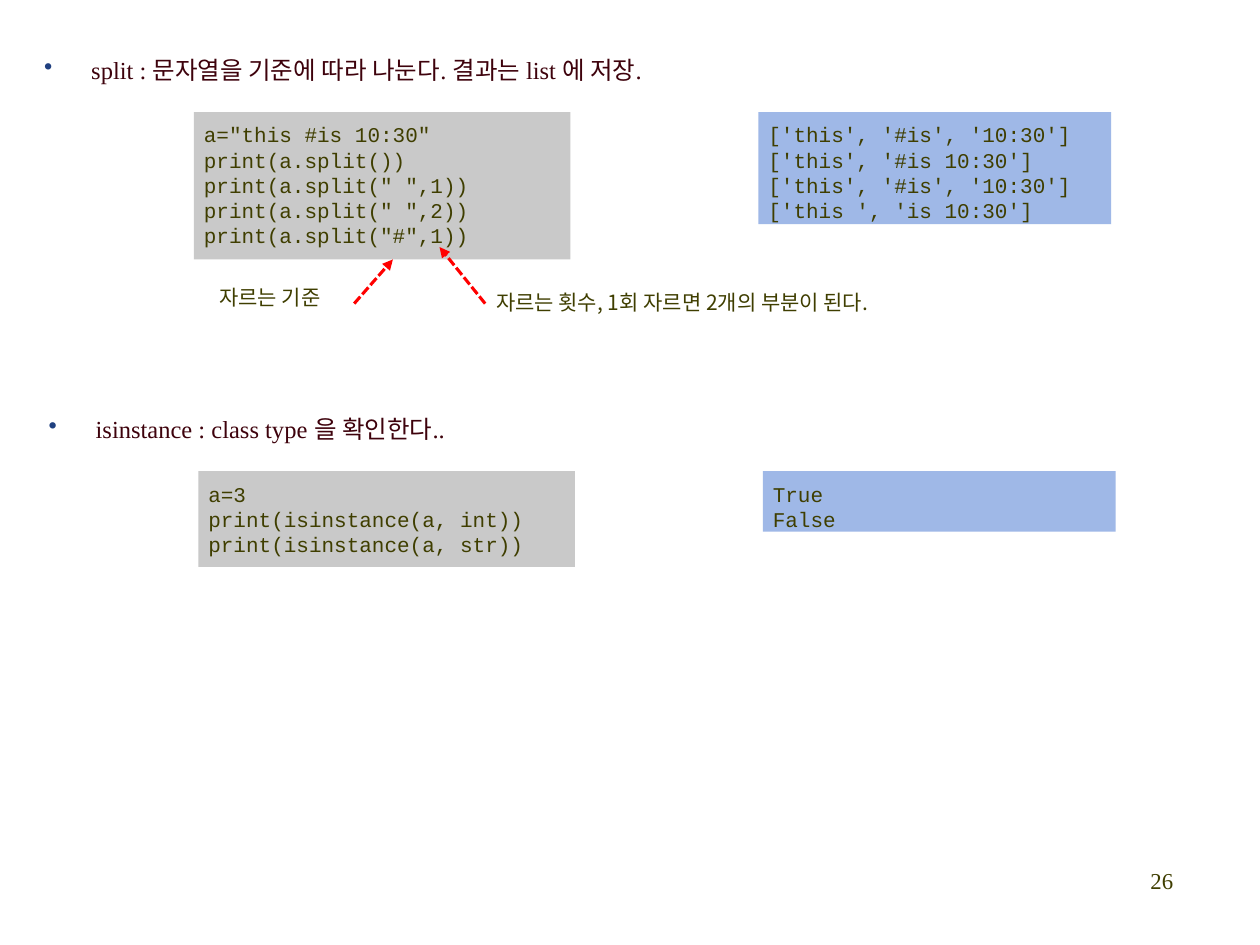
from lxml import etree
from pptx import Presentation
from pptx.dml.color import RGBColor
from pptx.enum.dml import MSO_LINE_DASH_STYLE as Dash
from pptx.enum.shapes import MSO_CONNECTOR as Connector, MSO_SHAPE as Shape
from pptx.enum.text import MSO_ANCHOR as Anchor, MSO_AUTO_SIZE as AutoSize, PP_ALIGN as Align
from pptx.oxml.ns import qn
from pptx.util import Cm, Pt

COLORS = {
    "text": "3F3E00",
    "heading": "3E020C",
    "bullet": "204080",
    "code": "C9C9C9",
    "output": "9FB8E7",
    "arrow": "FF0000",
}
SERIF = "Times New Roman"
MONO = "Courier New"
KOREAN = "Noto Sans CJK KR"

SPLIT_CODE = '''a="this #is 10:30"
print(a.split())
print(a.split(" ",1))
print(a.split(" ",2))
print(a.split("#",1))'''
SPLIT_OUTPUT = """['this', '#is', '10:30']
['this', '#is 10:30']
['this', '#is', '10:30']
['this ', 'is 10:30']"""
ISINSTANCE_CODE = """a=3
print(isinstance(a, int))
print(isinstance(a, str))"""
ISINSTANCE_OUTPUT = "True\nFalse"


def rgb(name):
    return RGBColor.from_string(COLORS[name])


def add_bullet(paragraph):
    properties = paragraph._p.get_or_add_pPr()
    properties.set("marL", str(Cm(0.95)))
    properties.set("indent", str(Cm(-0.95)))
    color = etree.SubElement(properties, qn("a:buClr"))
    etree.SubElement(color, qn("a:srgbClr"), val=COLORS["bullet"])
    etree.SubElement(properties, qn("a:buChar"), char="•")


def write_text(shape, text, *, font=SERIF, size=12, color="text",
               align=Align.LEFT, bullet=False, grow=True):
    """Fill a shape with one paragraph for each line of the text."""
    frame = shape.text_frame
    frame.word_wrap = True
    frame.vertical_anchor = Anchor.TOP
    frame.auto_size = AutoSize.SHAPE_TO_FIT_TEXT if grow else AutoSize.NONE
    for index, line in enumerate(text.split("\n")):
        paragraph = frame.add_paragraph() if index else frame.paragraphs[0]
        paragraph.alignment = align
        if bullet:
            add_bullet(paragraph)
        run = paragraph.add_run()
        run.text = line
        run.font.size = Pt(size)
        run.font.color.rgb = rgb(color)
        run.font.name = font
        etree.SubElement(run._r.get_or_add_rPr(), qn("a:ea"), typeface=KOREAN)


def add_label(slide, text, left, top, width, height, **text_format):
    box = slide.shapes.add_textbox(Cm(left), Cm(top), Cm(width), Cm(height))
    write_text(box, text, **text_format)


def add_panel(slide, text, left, top, width, height, fill, end_inset):
    """Add a filled box of code; end_inset is its right and bottom margin."""
    panel = slide.shapes.add_shape(
        Shape.RECTANGLE, Cm(left), Cm(top), Cm(width), Cm(height))
    panel.shadow.inherit = False
    panel.fill.solid()
    panel.fill.fore_color.rgb = rgb(fill)
    panel.line.fill.background()
    frame = panel.text_frame
    frame.margin_left = frame.margin_top = Cm(0.2)
    frame.margin_right = frame.margin_bottom = Cm(end_inset)
    write_text(panel, text, font=MONO)


def add_example(slide, left, top, heading, heading_width, code, code_height,
                output, output_height):
    """Add a bulleted heading with its code and the printed result below."""
    panel_top = top + 1.27
    add_panel(slide, output, left + 14.65, panel_top, 7.11, output_height, "output", 0)
    add_label(slide, heading, left, top, heading_width, 0.86,
              size=14, color="heading", bullet=True)
    add_panel(slide, code, left + 3.27, panel_top, 7.59, code_height, "code", 0.2)


def add_arrow(slide, *ends):
    arrow = slide.shapes.add_connector(Connector.STRAIGHT, *map(Cm, ends))
    arrow.line.color.rgb = rgb("arrow")
    arrow.line.width = Pt(1.75)
    arrow.line.dash_style = Dash.SQUARE_DOT
    etree.SubElement(arrow.line._get_or_add_ln(), qn("a:tailEnd"), type="triangle")
    etree.SubElement(arrow._element.spPr, qn("a:effectLst"))


def main():
    presentation = Presentation()
    presentation.slide_width = Cm(25.4)
    presentation.slide_height = Cm(19.05)
    slide = presentation.slides.add_slide(presentation.slide_layouts[6])

    add_label(slide, "26", 18.62, 17.35, 5.28, 1.27,
              size=13, align=Align.RIGHT, grow=False)
    add_example(slide, 0.64, 0.99,
                "split : 문자열을 기준에 따라 나눈다. 결과는 list 에 저장.", 13.31,
                SPLIT_CODE, 2.97, SPLIT_OUTPUT, 2.26)
    add_arrow(slide, 7.14, 6.12, 7.92, 5.23)
    add_label(slide, "자르는 기준", 4.17, 5.61, 2.79, 0.76, font=KOREAN)
    add_arrow(slide, 9.78, 6.12, 8.86, 4.98)
    add_label(slide, "자르는 횟수, 1회 자르면 2개의 부분이 된다.",
              9.75, 5.72, 8.99, 0.76, font=KOREAN)
    add_example(slide, 0.73, 8.23, "isinstance : class type 을 확인한다..", 8.79,
                ISINSTANCE_CODE, 1.93, ISINSTANCE_OUTPUT, 1.22)

    presentation.save("out.pptx")


if __name__ == "__main__":
    main()
